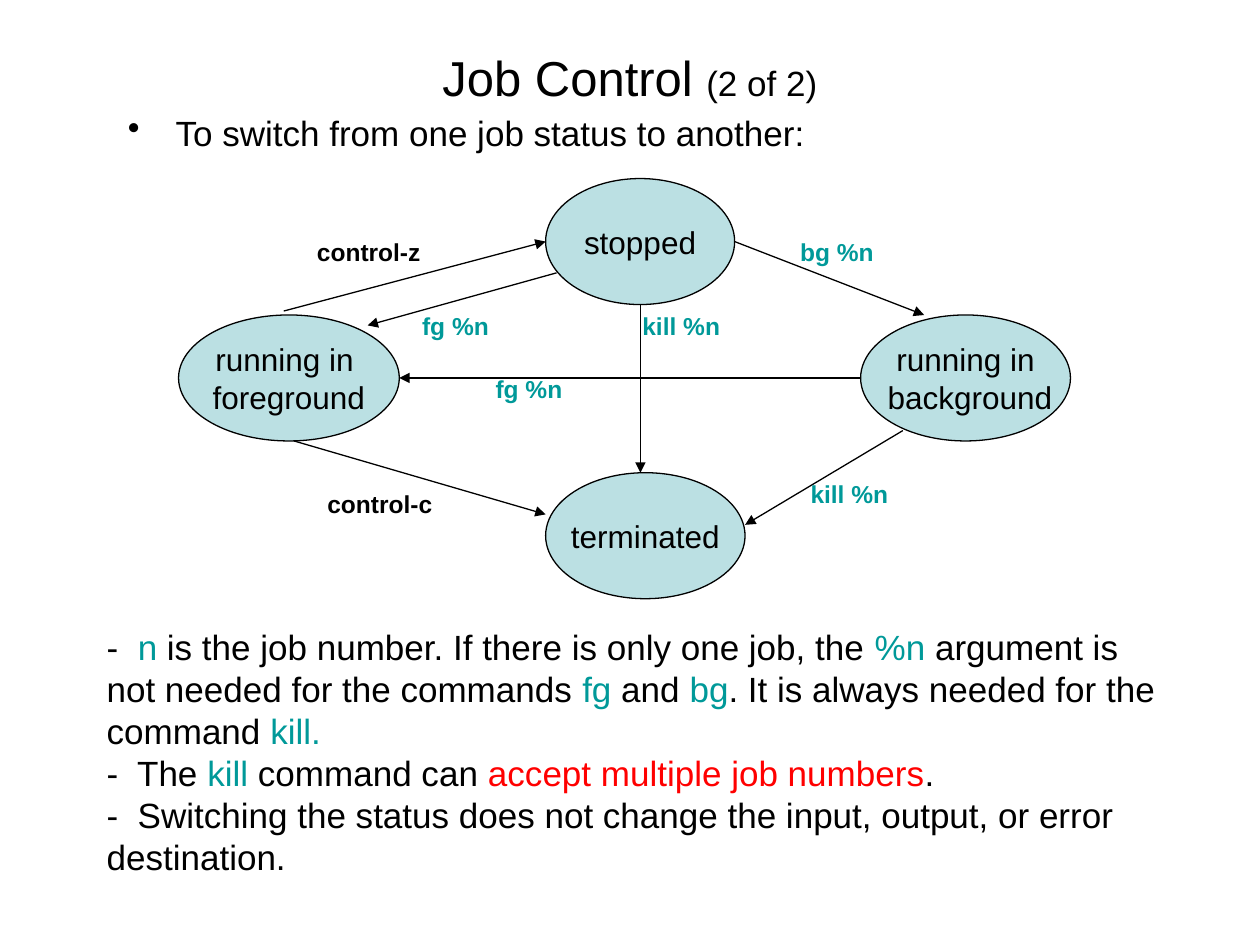
from lxml.etree import SubElement
from pptx import Presentation
from pptx.dml.color import RGBColor
from pptx.enum.shapes import MSO_CONNECTOR, MSO_SHAPE
from pptx.enum.text import MSO_ANCHOR, PP_ALIGN
from pptx.oxml.ns import qn
from pptx.util import Cm, Pt

COLORS = {"ink": "000000", "teal": "009999", "red": "FF0000", "state": "BBE0E3"}
FONT = "Arial"


def rgb(name):
    return RGBColor.from_string(COLORS[name])


def style(paragraph, size, color="ink", bold=False):
    font = paragraph.font
    font.name, font.size, font.bold = FONT, Pt(size), bold
    font.color.rgb = rgb(color)


def add_text(slide, box, paragraphs, size, color="ink", bold=False):
    """Each paragraph is a list of (text, color or None) runs."""
    frame = slide.shapes.add_textbox(*map(Cm, box)).text_frame
    frame.word_wrap = True
    for i, runs in enumerate(paragraphs):
        paragraph = frame.add_paragraph() if i else frame.paragraphs[0]
        style(paragraph, size, color, bold)
        for text, run_color in runs:
            run = paragraph.add_run()
            run.text = text
            if run_color:
                run.font.color.rgb = rgb(run_color)
    return frame


def add_title(slide, box):
    frame = add_text(slide, box, [[("Job Control ", None), ("(2 of 2)", None)]], 28)
    frame.vertical_anchor = MSO_ANCHOR.MIDDLE
    heading = frame.paragraphs[0]
    heading.alignment = PP_ALIGN.CENTER
    heading.runs[1].font.size = Pt(20)


def add_lead(slide, box):
    frame = add_text(slide, box, [[("To switch from one job status to another:", None)]], 20)
    props = frame.paragraphs[0]._p.get_or_add_pPr()
    props.set("marL", str(Cm(0.96)))
    props.set("indent", str(Cm(-0.96)))
    bullet = props.makeelement(qn("a:buChar"), {"char": "•"})
    props.insert_element_before(bullet, "a:tabLst", "a:defRPr", "a:extLst")


def add_state(slide, box, lines):
    state = slide.shapes.add_shape(MSO_SHAPE.OVAL, *map(Cm, box))
    state.shadow.inherit = False
    state.fill.solid()
    state.fill.fore_color.rgb = rgb("state")
    state.line.color.rgb = rgb("ink")
    state.line.width = Pt(0.75)
    frame = state.text_frame
    frame.word_wrap = False
    frame.vertical_anchor = MSO_ANCHOR.MIDDLE
    frame.text = lines
    for paragraph in frame.paragraphs:
        paragraph.alignment = PP_ALIGN.CENTER
        style(paragraph, 18)


def add_arrow(slide, start, end):
    arrow = slide.shapes.add_connector(
        MSO_CONNECTOR.STRAIGHT, *map(Cm, (*start, *end)))
    arrow.line.color.rgb = rgb("ink")
    arrow.line.width = Pt(0.75)
    SubElement(arrow.line._get_or_add_ln(), qn("a:tailEnd"), type="triangle")
    SubElement(arrow._element.spPr, qn("a:effectLst"))


def add_state_diagram(slide, left, top):
    def at(x, y):
        return left + x, top + y

    # Job states: x, y, width, text
    height = 2.54
    for x, y, width, lines in [
        (7.4, 5.93, 4.02, "terminated"),
        (13.75, 2.75, 4.23, "running in\n background"),
        (0, 2.75, 4.45, "running in \nforeground"),
        (7.4, 0, 3.81, "stopped"),
    ]:
        add_state(slide, (*at(x, y), width, height), lines)

    # Transitions: start, end
    for start, end in [
        ((2.12, 2.67), (7.4, 1.27)),
        ((11.21, 1.27), (15.03, 2.75)),
        ((2.33, 5.29), (7.4, 6.77)),
        ((14.6, 5.08), (11.42, 6.98)),
        ((13.75, 4.02), (4.45, 4.02)),
        ((7.62, 1.9), (3.81, 2.96)),
        ((9.31, 2.54), (9.31, 5.93)),
    ]:
        add_arrow(slide, at(*start), at(*end))

    # Transition commands: x, y, width, text, color
    for x, y, width, command, color in [
        (2.54, 1.06, 2.75, "control-z", "ink"),
        (2.75, 6.14, 2.75, "control-c", "ink"),
        (12.28, 1.06, 2.12, "bg %n", "teal"),
        (4.66, 2.54, 1.9, "fg %n", "teal"),
        (9.1, 2.54, 2.33, "kill %n", "teal"),
        (6.14, 3.81, 1.9, "fg %n", "teal"),
        (12.49, 5.93, 2.75, "kill %n", "teal"),
    ]:
        add_text(slide, (*at(x, y), width, 0.85), [[(command, None)]], 14, color, True)


def add_remarks(slide, box):
    add_text(slide, box, [
        [("-  ", None), ("n", "teal"),
         (" is the job number. If there is only one job, the ", None), ("%n", "teal"),
         (" argument is not needed for the commands ", None), ("fg", "teal"),
         (" and ", None), ("bg", "teal"),
         (". It is always needed for the command ", None), ("kill.", "teal")],
        [("-  The ", None), ("kill", "teal"), (" command can ", None),
         ("accept multiple job numbers", "red"), (".", None)],
        [("-  Switching the status does not change the input, output, "
          "or error destination.", None)],
    ], 20)


prs = Presentation()
prs.slide_width, prs.slide_height = Cm(25.4), Cm(19.05)
job_control = prs.slides.add_slide(prs.slide_layouts[6])
add_title(job_control, (1.27, 0.76, 22.86, 1.57))
add_lead(job_control, (2.33, 2.12, 20.53, 1.47))
add_remarks(job_control, (1.9, 12.49, 21.8, 5.38))
add_state_diagram(job_control, 3.6, 3.6)
prs.save("out.pptx")
